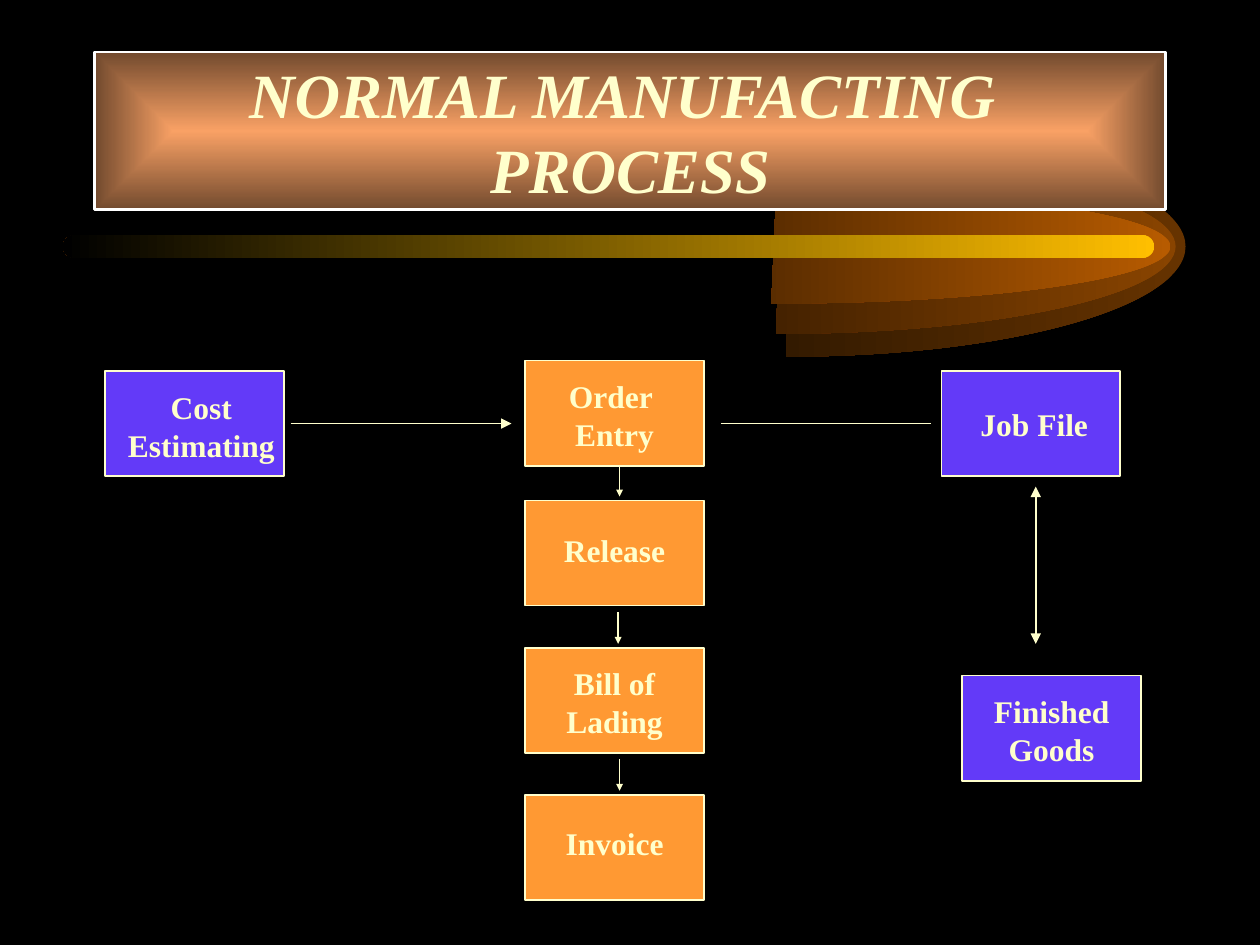
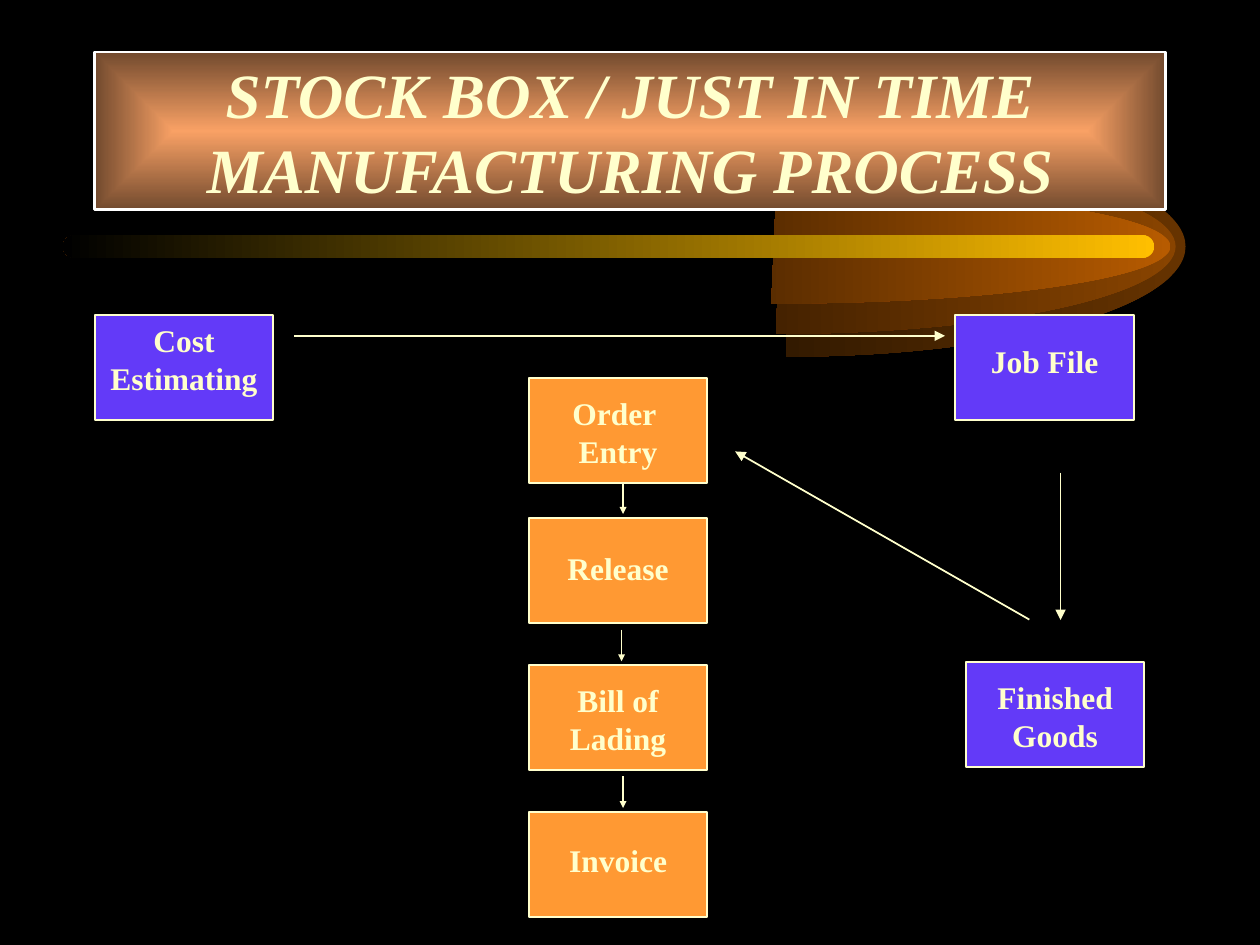
from lxml.etree import SubElement
from pptx import Presentation
from pptx.dml.color import RGBColor
from pptx.enum.shapes import MSO_CONNECTOR as Connector, MSO_SHAPE as Preset
from pptx.enum.text import MSO_ANCHOR as Anchor, MSO_AUTO_SIZE as AutoSize, PP_ALIGN as Align
from pptx.oxml.ns import qn
from pptx.util import Cm, Pt

COLORS = {
    "background": "000000", "cream": "FFFFCC", "white": "FFFFFF",
    "office": "633AF8", "order": "FF9933",
    "copper": "F9A165", "copper_dark": "724A2E", "gold": "FFBF00",
    "outer": "663300", "middle": "894400", "inner": "B75B00",
}
FONT = "Times New Roman"
STEP_WIDTH, STEP_HEIGHT = 3.6, 2.12
ARROW_LENGTH, ARROW_GAP = 0.64, 0.08
ARC_PULL = 0.55
ONE_LINE_LABELS = {"Release", "Invoice", "Job File"}

ORDER_STEPS = [
    ("Order \vEntry", 0, 0.2),
    ("Release", 2.82, 0.5),
    ("Bill of Lading", 5.79, 0.2),
    ("Invoice", 8.75, 0.46),
]
ARROW_SHIFTS = [1.9, 1.87, 1.9]
CRESCENTS = [("outer", 15.95, 2.22), ("middle", 15.75, 1.76), ("inner", 15.65, 1.15)]

PROCESSES = [
    {
        "title": "NORMAL MANUFACTING \vPROCESS",
        "column": (10.59, 7.27),
        "offices": [
            ("Cost Estimating", 2.12, 7.48, 0.14, 0.22),
            ("Job File", 18.98, 7.48, 0.07, 0.57),
            ("Finished Goods", 19.4, 13.62, 0, 0.21),
        ],
        "flows": [
            ((5.86, 8.54), (10.31, 8.54), ["tailEnd"]),
            ((14.53, 8.54), (18.77, 8.54), []),
            ((20.88, 12.98), (20.88, 9.81), ["headEnd", "tailEnd"]),
        ],
    },
    {
        "title": "STOCK BOX / JUST IN TIME MANUFACTURING PROCESS",
        "column": (10.66, 7.62),
        "offices": [
            ("Cost Estimating", 1.91, 6.35, 0, 0),
            ("Job File", 19.26, 6.35, 0, 0.42),
            ("Finished Goods", 19.47, 13.34, 0, 0.2),
        ],
        "flows": [
            ((5.93, 6.77), (19.05, 6.77), ["tailEnd"]),
            ((20.75, 12.49), (14.82, 9.1), ["tailEnd"]),
            ((21.38, 9.53), (21.38, 12.5), ["tailEnd"]),
        ],
    },
]


def color(name):
    """Return the named colour."""
    return RGBColor.from_string(COLORS[name])


def fill_gradient(shape, first, last):
    """Fill a shape with a gradient running from right to left."""
    shape.shadow.inherit = False
    shape.fill.gradient()
    shape.fill.gradient_angle = 180
    for stop, name in zip(shape.fill.gradient_stops, (first, last)):
        stop.color.rgb = color(name)


def write_text(shape, text, size, italic=False):
    """Write centred bold cream text into a shape."""
    frame = shape.text_frame
    frame.word_wrap = True
    frame.text = text
    paragraph = frame.paragraphs[0]
    paragraph.alignment = Align.CENTER
    for run in paragraph.runs:
        font = run.font
        font.name, font.size, font.bold, font.italic = FONT, Pt(size), True, italic
        font.color.rgb = color("cream")


def add_flow(slide, start, end, heads, head_size="med"):
    """Draw a cream line with arrowheads at the named ends."""
    flow = slide.shapes.add_connector(Connector.STRAIGHT, *map(Cm, (*start, *end)))
    flow.line.width = Pt(1)
    flow.line.color.rgb = color("cream")
    line = flow.line._get_or_add_ln()
    for head in heads:
        SubElement(line, qn(f"a:{head}"), type="triangle", w=head_size, len=head_size)
    SubElement(flow._element.spPr, qn("a:effectLst"))


def add_step(slide, text, left, top, fill, label_right, label_down):
    """Draw a process box with its label shifted from the box corner."""
    box = slide.shapes.add_shape(
        Preset.RECTANGLE, Cm(left), Cm(top), Cm(STEP_WIDTH), Cm(STEP_HEIGHT))
    box.shadow.inherit = False
    box.fill.solid()
    box.fill.fore_color.rgb = color(fill)
    box.line.color.rgb = color("cream")
    box.line.width = Pt(1)
    label_height = 1.02 if text in ONE_LINE_LABELS else 1.78
    label = slide.shapes.add_textbox(
        Cm(left + label_right), Cm(top + label_down), Cm(STEP_WIDTH), Cm(label_height))
    write_text(label, text, 18)
    label.text_frame.auto_size = AutoSize.SHAPE_TO_FIT_TEXT


def add_order_column(slide, left, top):
    """Stack the order steps and point an arrow at each following one."""
    for text, down, label_down in ORDER_STEPS:
        add_step(slide, text, left, top + down, "order", 0, label_down)
    for shift, (_, down, _) in zip(ARROW_SHIFTS, ORDER_STEPS[1:]):
        x, end = left + shift, top + down - ARROW_GAP
        add_flow(slide, (x, end - ARROW_LENGTH), (x, end), ["tailEnd"], "sm")


def add_crescent(slide, name, center, middle, radius, height):
    """Draw the right half of an ellipse inside the frame of the whole one."""
    right, top, bottom = center + radius, middle - height, middle + height
    pull_x, pull_y = radius * ARC_PULL, height * ARC_PULL
    points = [
        (center + pull_x, top), (right, middle - pull_y), (right, middle),
        (right, middle + pull_y), (center + pull_x, bottom), (center - 0.1, bottom),
    ]
    builder = slide.shapes.build_freeform(Cm(center - radius), Cm(middle))
    builder.move_to(Cm(center), Cm(top))
    builder.add_line_segments([(Cm(x), Cm(y)) for x, y in points], close=True)
    crescent = builder.convert_to_shape()
    outline = crescent._element.spPr.find(f".//{qn('a:path')}")
    outline.remove(outline[0])
    segments = outline.findall(qn("a:lnTo"))
    for first in (0, 3):
        curve = SubElement(outline, qn("a:cubicBezTo"))
        segments[first].addprevious(curve)
        for segment in segments[first:first + 3]:
            curve.append(segment[0])
            outline.remove(segment)
    fill_gradient(crescent, name, "background")
    crescent.line.fill.background()


def add_comet(slide, left, middle, width):
    """Draw the golden bar over three nested half ellipses."""
    for name, center, height in CRESCENTS:
        add_crescent(slide, name, center, middle, 7.95, height)
    bar = slide.shapes.add_shape(
        Preset.ROUNDED_RECTANGLE, Cm(left), Cm(middle - 0.23), Cm(width), Cm(0.46))
    bar.adjustments[0] = 0.5
    fill_gradient(bar, "gold", "background")
    bar.line.fill.background()


def add_title(slide, text, left, top, width, height):
    """Draw the copper title plate."""
    plate = slide.shapes.add_shape(
        Preset.RECTANGLE, Cm(left), Cm(top), Cm(width), Cm(height))
    fill_gradient(plate, "copper", "copper_dark")
    gradient = plate._element.spPr.find(qn("a:gradFill"))
    gradient.remove(gradient.find(qn("a:lin")))
    shade = SubElement(gradient, qn("a:path"), {"path": "rect"})
    SubElement(shade, qn("a:fillToRect"), dict.fromkeys("ltrb", "50000"))
    plate.line.color.rgb = color("white")
    plate.line.width = Pt(1.5)
    plate.text_frame.vertical_anchor = Anchor.MIDDLE
    write_text(plate, text, 36, italic=True)


def add_process_slide(presentation, process):
    """Build one slide with its title, boxes and flows."""
    slide = presentation.slides.add_slide(presentation.slide_layouts[6])
    slide.background.fill.solid()
    slide.background.fill.fore_color.rgb = color("background")
    add_comet(slide, 1.27, 4.97, 22)
    add_title(slide, process["title"], 1.91, 1.05, 21.59, 3.18)
    add_order_column(slide, *process["column"])
    for text, left, top, label_right, label_down in process["offices"]:
        add_step(slide, text, left, top, "office", label_right, label_down)
    for start, end, heads in process["flows"]:
        add_flow(slide, start, end, heads)


def main():
    """Build the presentation and save it."""
    presentation = Presentation()
    presentation.slide_width, presentation.slide_height = Cm(25.4), Cm(19.05)
    for process in PROCESSES:
        add_process_slide(presentation, process)
    presentation.save("out.pptx")


if __name__ == "__main__":
    main()
